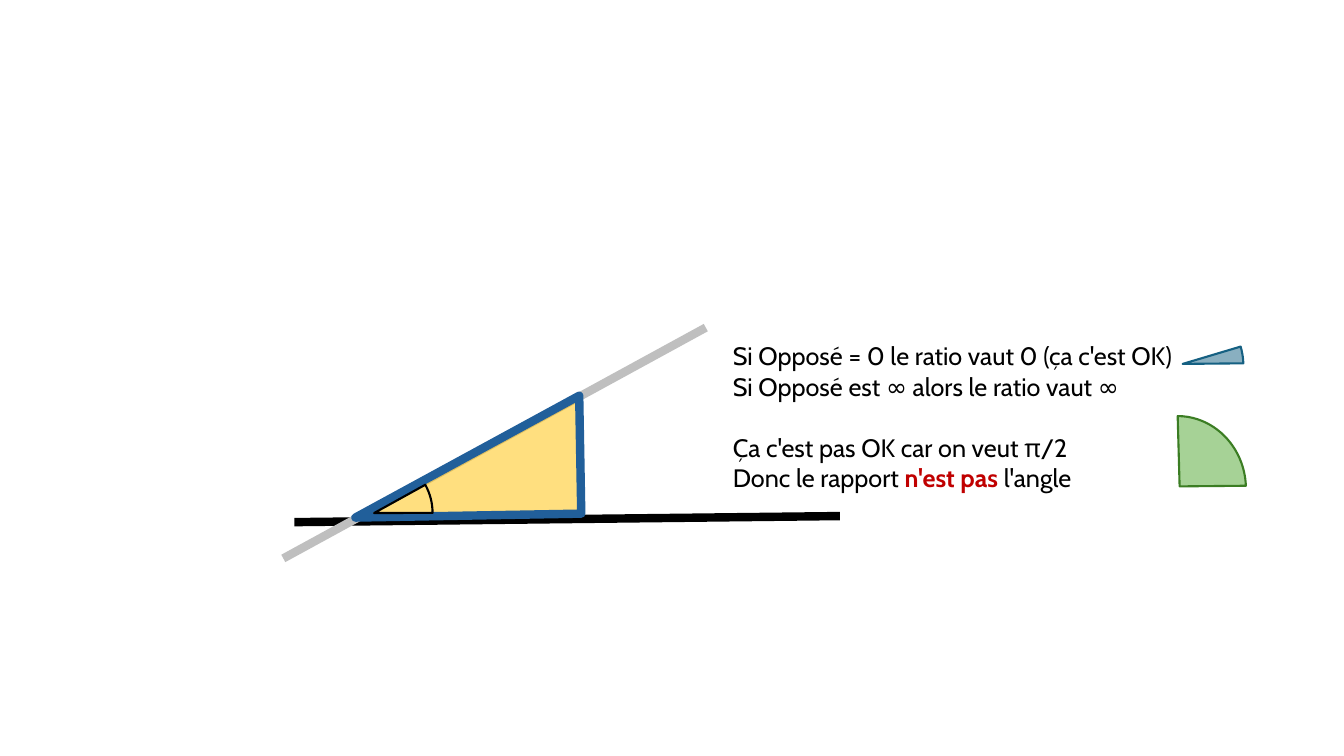
from dataclasses import dataclass
from typing import Optional

from lxml import etree
from pptx import Presentation
from pptx.dml.color import RGBColor
from pptx.enum.shapes import MSO_CONNECTOR, MSO_SHAPE
from pptx.enum.text import MSO_AUTO_SIZE
from pptx.oxml.ns import qn
from pptx.util import Inches, Pt

STRAIGHT = MSO_CONNECTOR.STRAIGHT
RIGHT_TRIANGLE = MSO_SHAPE.RIGHT_TRIANGLE
PIE = MSO_SHAPE.PIE
FIT_TEXT = MSO_AUTO_SIZE.SHAPE_TO_FIT_TEXT

FONT = "Cabin"
FONT_SIZE = 18
LINE_GAP = 22
BLACK = "000000"
RED = "C00000"
HALF_OPAQUE = 50


@dataclass
class Ray:
    start: tuple[float, float]
    end: tuple[float, float]
    color: str


@dataclass
class Figure:
    kind: MSO_SHAPE
    box: tuple[float, float, float, float]
    rotation: float
    line_color: str
    line_width: float
    fill: Optional[str] = None
    angles: tuple[float, ...] = ()  # degrees, before rotation


@dataclass
class Sentence:
    phrases: tuple[str, ...]  # every second phrase is emphasised
    space_before: float = 0


RAYS = [
    Ray((2.92, 5.18), (8.33, 5.12), BLACK),
    Ray((2.81, 5.54), (7, 3.25), "BFBFBF"),
]
TRIANGLE = Figure(RIGHT_TRIANGLE, (4.05, 3.41, 1.17, 2.24), 269, "215F9A", 6, "FFC000")
SECTORS = [
    Figure(PIE, (11.09, 3.01, 1.28, 1.2), 257, "156082", 1.5, "156082", (86.37, 102.46)),
    Figure(PIE, (11, 4.17, 1.4, 1.31), 257, "3B7D23", 1.5, "4EA72E", (11.41, 102.46)),
    Figure(PIE, (3.13, 4.51, 1.16, 1.16), 105.7, BLACK, 1.5, angles=(225.4, 254.13)),
]
SENTENCES = [
    Sentence(("Si Opposé = 0 le ratio vaut 0 (ça c'est OK)",)),
    Sentence(("Si Opposé est ∞ alors le ratio vaut ∞",)),
    Sentence(("Ça c'est pas OK car on veut π/2",), LINE_GAP),
    Sentence(("Donc le rapport ", "n'est pas", " l'angle")),
]


def rgb(color: str) -> RGBColor:
    return RGBColor.from_string(color)


def draw_ray(slide, ray: Ray) -> None:
    ends = [Inches(value) for value in ray.start + ray.end]
    connector = slide.shapes.add_connector(STRAIGHT, *ends)
    connector.line.color.rgb = rgb(ray.color)
    connector.line.width = Pt(6)
    etree.SubElement(connector._element.spPr, qn("a:effectLst"))


def draw_figure(slide, figure: Figure) -> None:
    shape = slide.shapes.add_shape(figure.kind, *map(Inches, figure.box))
    shape.shadow.inherit = False
    shape.rotation = figure.rotation
    for index, degrees in enumerate(figure.angles):
        shape.adjustments[index] = degrees * 0.6
    shape.line.color.rgb = rgb(figure.line_color)
    shape.line.width = Pt(figure.line_width)
    if figure.fill is None:
        shape.fill.background()
        return
    shape.fill.solid()
    shape.fill.fore_color.rgb = rgb(figure.fill)
    fill_color = shape._element.spPr.find(qn("a:solidFill"))[0]
    etree.SubElement(fill_color, qn("a:alpha"), val=str(HALF_OPAQUE * 1000))


def write_reasoning(slide, sentences: list[Sentence]) -> None:
    reasoning = slide.shapes.add_textbox(Inches(7.17), Inches(3.33), Inches(4.6), Inches(1.62))
    frame = reasoning.text_frame
    frame.word_wrap = False
    frame.auto_size = FIT_TEXT
    for index, sentence in enumerate(sentences):
        paragraph = frame.add_paragraph() if index else frame.paragraphs[0]
        paragraph.space_before = Pt(sentence.space_before)
        for position, phrase in enumerate(sentence.phrases):
            emphasised = position % 2 == 1
            run = paragraph.add_run()
            run.text = phrase
            run.font.name = FONT
            run.font.size = Pt(FONT_SIZE)
            run.font.bold = emphasised
            run.font.color.rgb = rgb(RED if emphasised else BLACK)


def main() -> None:
    presentation = Presentation()
    presentation.slide_width = Inches(13.33)
    presentation.slide_height = Inches(7.5)
    slide = presentation.slides.add_slide(presentation.slide_layouts[6])

    # Two rays and the triangle they form
    for ray in RAYS:
        draw_ray(slide, ray)
    draw_figure(slide, TRIANGLE)

    # Reasoning about the ratio
    write_reasoning(slide, SENTENCES)

    # Angles: small, right, and the one inside the triangle
    for sector in SECTORS:
        draw_figure(slide, sector)

    presentation.save("out.pptx")


if __name__ == "__main__":
    main()
